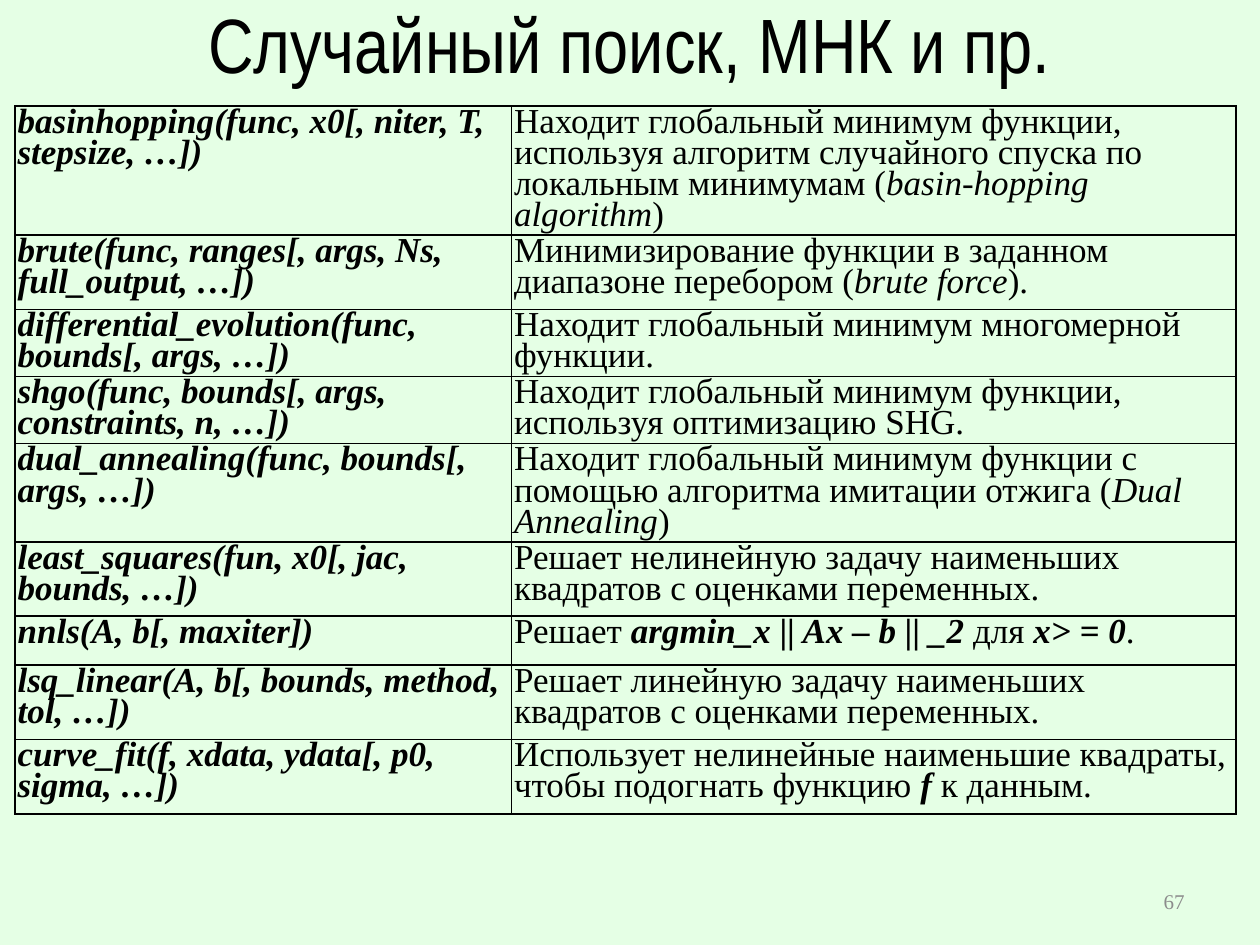
from lxml import etree
from pptx import Presentation
from pptx import util as u
from pptx.dml.color import RGBColor
from pptx.enum import text
from pptx.oxml import ns

COLORS = {"background": "E5FFE5", "ink": "000000", "number": "8C8C8C"}
SERIF = "Times New Roman"
PLAIN = {"bold": False, "italic": False}
ITALIC = {"bold": False, "italic": True}
STRONG = {"bold": True, "italic": True}
COLUMNS = [3.94, 5.75]
NO_BREAK = chr(160)

FUNCTIONS = [
    (0.78, ["basinhopping(func, x0[, niter, T, ", "stepsize, …])"],
     [("Находит глобальный минимум функции, используя алгоритм случайного "
       "спуска по локальным минимумам (", PLAIN),
      ("basin-hopping algorithm", ITALIC), (")", PLAIN)]),
    (0.59, ["brute(func, ranges[, args, Ns, ", "full_output, …])"],
     [("Минимизирование функции в заданном диапазоне перебором (", PLAIN),
      ("brute force", ITALIC), (").", PLAIN)]),
    (0.39, ["differential_evolution(func, ", "bounds[, args, …])"],
     [("Находит глобальный минимум многомерной функции.", PLAIN)]),
    (0.39, ["shgo(func, bounds[, args, ", "constraints, n, …])"],
     [("Находит глобальный минимум функции, используя оптимизацию SHG.", PLAIN)]),
    (0.59, ["dual_annealing(func, bounds[, ", "args, …])"],
     [("Находит глобальный минимум функции с помощью алгоритма имитации "
       "отжига (", PLAIN),
      ("Dual Annealing", ITALIC), (")", PLAIN)]),
    (0.59, ["least_squares(fun, x0[, jac, ", "bounds, …])"],
     [("Решает нелинейную задачу наименьших квадратов с оценками "
       "переменных.", PLAIN)]),
    (0.39, ["nnls(A, b[, maxiter])"],
     [("Решает ", PLAIN), ("argmin_x || Ax – b || _2 ", STRONG),
      ("для ", PLAIN), ("x> = 0", STRONG), (".", PLAIN)]),
    (0.59, ["lsq_linear(A, b[, bounds, method, tol, …])"],
     [("Решает линейную задачу наименьших квадратов с оценками "
       "переменных.", PLAIN)]),
    (0.59, ["curve_fit(f, xdata, ydata[, p0, ", "sigma, …])"],
     [("Использует нелинейные наименьшие квадраты, чтобы подогнать "
       "функцию ", PLAIN),
      ("f", STRONG), (" к данным.", PLAIN)]),
]


def apply(target, values):
    for name, value in values.items():
        setattr(target, name, value)


def inches(box):
    return [u.Inches(length) for length in box]


def add_run(paragraph, wording, size, face=SERIF, color="ink", style=PLAIN):
    run = paragraph.add_run()
    run.text = wording
    apply(run.font, {"size": u.Pt(size), "name": face, **style})
    run.font.color.rgb = RGBColor.from_string(COLORS[color])


def add_borders(cell):
    properties = cell._tc.get_or_add_tcPr()
    for position, side in enumerate(("lnL", "lnR", "lnT", "lnB")):
        line = etree.Element(ns.qn(f"a:{side}"), w=str(u.Pt(1)))
        fill = etree.SubElement(line, ns.qn("a:solidFill"))
        etree.SubElement(fill, ns.qn("a:srgbClr"), val=COLORS["ink"])
        properties.insert(position, line)


def fill_cell(cell, paragraphs):
    margins = ("margin_left", "margin_right", "margin_top", "margin_bottom")
    apply(cell, dict.fromkeys(margins, u.Inches(0.02)))
    cell.fill.background()
    add_borders(cell)
    frame = cell.text_frame
    for index, runs in enumerate(paragraphs):
        paragraph = frame.add_paragraph() if index else frame.paragraphs[0]
        paragraph.line_spacing = 0.8
        for wording, style in runs:
            add_run(paragraph, wording, 20, style=style)


def place_title(slide, box):
    heading = slide.shapes.title
    apply(heading, dict(zip(("left", "top", "width", "height"), inches(box))))
    apply(heading.text_frame, {"vertical_anchor": text.MSO_ANCHOR.MIDDLE,
                               "auto_size": text.MSO_AUTO_SIZE.NONE,
                               "word_wrap": True})
    paragraph = heading.text_frame.paragraphs[0]
    paragraph.alignment = text.PP_ALIGN.CENTER
    add_run(paragraph, "Случайный поиск, МНК и пр.", 44, "Arial Narrow")


def place_functions(slide, box):
    table = slide.shapes.add_table(len(FUNCTIONS), len(COLUMNS), *inches(box)).table
    apply(table, {"first_row": False, "horz_banding": False})
    for column, width in zip(table.columns, COLUMNS):
        column.width = u.Inches(width)
    for index, (height, signature, description) in enumerate(FUNCTIONS):
        table.rows[index].height = u.Inches(height)
        calls = [[(line.replace(" ", NO_BREAK), STRONG)] for line in signature]
        fill_cell(table.cell(index, 0), calls)
        fill_cell(table.cell(index, 1), [description])


def place_number(slide, box):
    frame = slide.shapes.add_textbox(*inches(box)).text_frame
    apply(frame, {"word_wrap": True, "vertical_anchor": text.MSO_ANCHOR.MIDDLE})
    paragraph = frame.paragraphs[0]
    paragraph.alignment = text.PP_ALIGN.RIGHT
    add_run(paragraph, "67", 12, color="number")


def main():
    deck = Presentation()
    apply(deck, {"slide_width": u.Inches(10), "slide_height": u.Inches(7.5)})
    slide = deck.slides.add_slide(deck.slide_layouts[5])
    backdrop = slide.background.fill
    backdrop.solid()
    backdrop.fore_color.rgb = RGBColor.from_string(COLORS["background"])
    place_title(slide, (0.12, 0, 9.76, 0.68))
    place_functions(slide, (0.12, 0.84, sum(COLUMNS), sum(row[0] for row in FUNCTIONS)))
    place_number(slide, (7.17, 6.95, 2.33, 0.4))
    deck.save("out.pptx")


if __name__ == "__main__":
    main()
